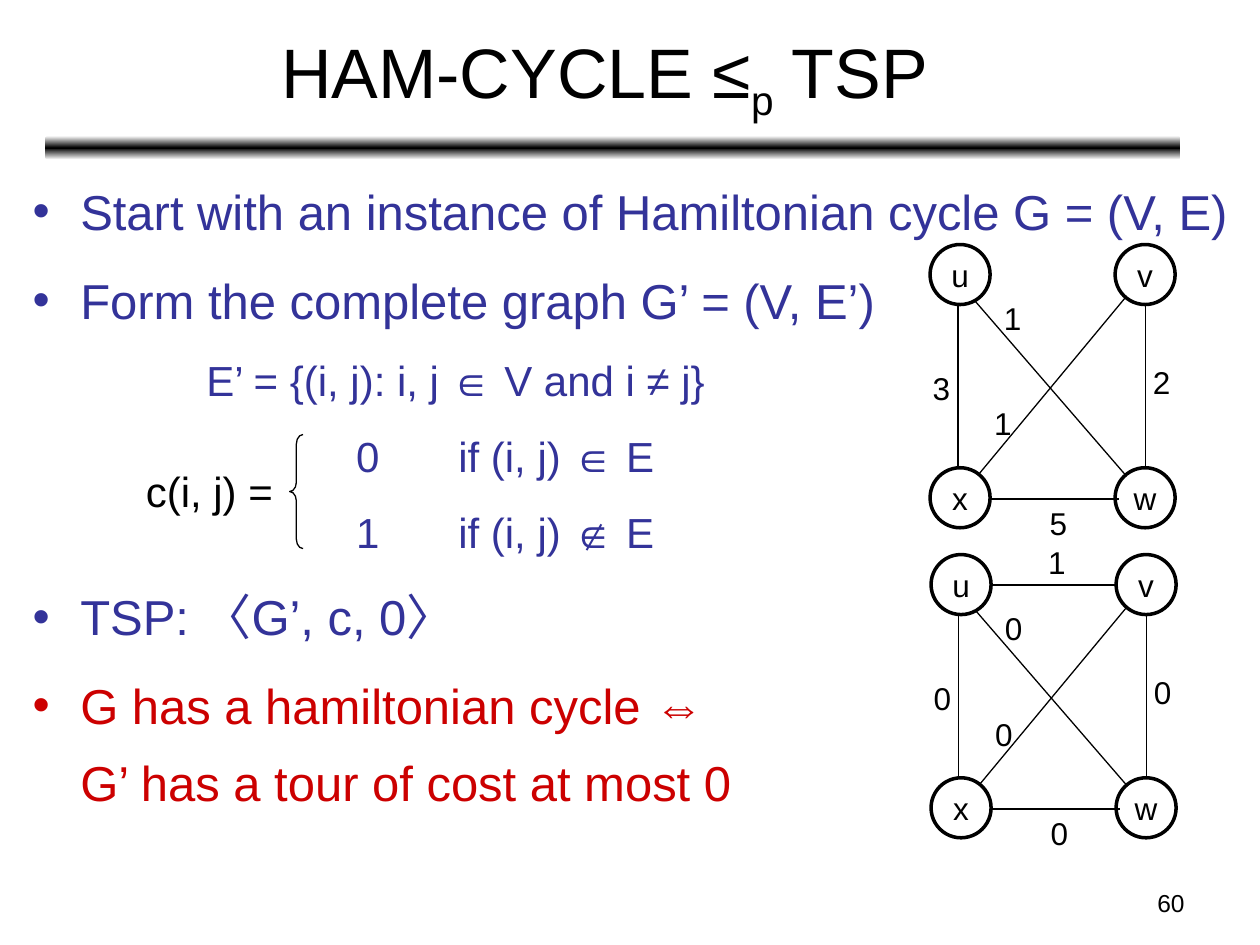
from copy import deepcopy
from dataclasses import dataclass

from lxml.etree import SubElement
from pptx import Presentation
from pptx.dml.color import RGBColor
from pptx.enum.shapes import MSO_CONNECTOR, MSO_SHAPE
from pptx.enum.text import MSO_ANCHOR, PP_ALIGN
from pptx.oxml.ns import qn
from pptx.util import Cm, Pt


@dataclass(frozen=True)
class Theme:
    font: str = "Arial"
    black: str = "000000"
    white: str = "FFFFFF"
    blue: str = "333399"
    red: str = "CC0000"
    title: int = 40
    bullet: int = 28
    formula: int = 24
    graph: int = 18
    number: int = 14
    edge: float = 0.75
    ring: float = 2


THEME = Theme()

TITLE = (("HAM-CYCLE ≤", False), ("p", True), (" TSP ", False))

# kind, text, colour
BODY = [
    ("bullet", "Start with an instance of Hamiltonian cycle G = (V, E)", THEME.blue),
    ("bullet", "Form the complete graph G’ = (V, E’)", THEME.blue),
    ("formula", "E’ = {(i, j): i, j ∈ V and i ≠ j}", THEME.blue),
    ("case", "0\tif (i, j) ∈ E", THEME.blue),
    ("case", "1\tif (i, j) ∉ E", THEME.blue),
    ("bullet", "TSP: 〈G’, c, 0〉", THEME.blue),
    ("bullet", "G has a hamiltonian cycle ⇔\vG’ has a tour of cost at most 0", THEME.red),
]
# left margin, first-line indent (cm); size and space before (pt)
# In a case the cost hangs and its tab leads to the left margin.
BODY_STYLES = {
    "bullet": (0.96, -0.96, THEME.bullet, 7),
    "formula": (3.5, 0, THEME.formula, 6),
    "case": (8.58, -2.06, THEME.formula, 6),
}

# All graph places are in cm from the graph's top left corner.
NODE_SIZE = 1.21
NODES = {"u": (0, 0), "v": (3.73, 0), "x": (0, 4.5), "w": (3.73, 4.5)}
# edge: (line from and to), (label corner)
EDGES = {
    "uv": ((1.19, 0.61, 3.76, 0.61), (2.11, -0.36)),
    "xw": ((1.19, 5.13, 3.81, 5.13), (2.16, 5.1)),
    "ux": ((0.56, 1.19, 0.56, 4.5), (-0.2, 2.39)),
    "vw": ((4.34, 1.19, 4.34, 4.5), (4.24, 2.26)),
    "uw": ((0.89, 1.12, 3.96, 4.67), (1.24, 0.97)),
    "vx": ((3.96, 1.04, 0.99, 4.62), (1.04, 3.1)),
}
GRAPHS = [
    ((18.75, 4.93), {"xw": 5, "ux": 3, "vw": 2, "vx": 1, "uw": 1}),
    ((18.77, 11.18), {"uv": 1, "xw": 0, "ux": 0, "vw": 0, "vx": 0, "uw": 0}),
]


def lengths(*values):
    return [Cm(value) for value in values]


def style(para, size, color=THEME.black, align=None):
    para.font.name = THEME.font
    para.font.size = Pt(size)
    para.font.color.rgb = RGBColor.from_string(color)
    if align is not None:
        para.alignment = align


def set_line(shape, width):
    shape.line.color.rgb = RGBColor.from_string(THEME.black)
    shape.line.width = Pt(width)


def add_label(page, place, text, size, align=None, wrap=False):
    box = page.shapes.add_textbox(*lengths(*place))
    box.text_frame.word_wrap = wrap
    para = box.text_frame.paragraphs[0]
    para.text = text
    style(para, size, align=align)


def add_title(page):
    title = page.shapes.title
    title.left, title.top, title.width, title.height = lengths(0.94, 0.28, 22.86, 2.51)
    title.text_frame.vertical_anchor = MSO_ANCHOR.MIDDLE
    para = title.text_frame.paragraphs[0]
    for text, subscript in TITLE:
        span = para.add_run()
        span.text = text
        if subscript:
            span.font._element.set("baseline", "-25000")
    style(para, THEME.title, align=PP_ALIGN.CENTER)


def add_rule(page):
    rule = page.shapes.add_shape(MSO_SHAPE.ROUNDED_RECTANGLE, *lengths(0.91, 2.74, 22.89, 0.48))
    rule.shadow.inherit = False
    rule.line.fill.background()
    rule.fill.gradient()
    rule.fill.gradient_angle = 90
    stop_list = rule._element.spPr.find(".//" + qn("a:gsLst"))
    stop_list.append(deepcopy(stop_list[0]))
    colors = (THEME.white, THEME.black, THEME.white)
    for index, (stop, color) in enumerate(zip(rule.fill.gradient_stops, colors)):
        stop.position = index / 2
        stop.color.rgb = RGBColor.from_string(color)


def format_body(para, kind, color):
    margin, indent, size, before = BODY_STYLES[kind]
    para.line_spacing = 1.3
    para.space_before = Pt(before)
    props = para._p.get_or_add_pPr()
    props.set("marL", str(Cm(margin)))
    props.set("indent", str(Cm(indent)))
    if kind == "bullet":
        bullet_color = SubElement(props, qn("a:buClr"))
        SubElement(bullet_color, qn("a:srgbClr"), val=color)
        SubElement(props, qn("a:buFont"), typeface=THEME.font)
        SubElement(props, qn("a:buChar"), char="•")
    style(para, size, color)


def add_body(page):
    box = page.shapes.add_textbox(*lengths(0.41, 3.18, 24.99, 15.04))
    frame = box.text_frame
    frame.word_wrap = True
    for index, (kind, text, color) in enumerate(BODY):
        para = frame.add_paragraph() if index else frame.paragraphs[0]
        para.text = text
        format_body(para, kind, color)


def add_brace(page):
    brace = page.shapes.add_shape(MSO_SHAPE.LEFT_BRACE, *lengths(5.84, 8.76, 0.27, 2.3))
    brace.adjustments[0] = 0.7
    brace.shadow.inherit = False
    brace.fill.background()
    set_line(brace, THEME.edge)


def add_graph(page, origin, costs):
    left, top = origin
    for name, (x, y) in NODES.items():
        node = page.shapes.add_shape(
            MSO_SHAPE.OVAL, *lengths(left + x, top + y, NODE_SIZE, NODE_SIZE))
        node.shadow.inherit = False
        node.fill.solid()
        node.fill.fore_color.rgb = RGBColor.from_string(THEME.white)
        set_line(node, THEME.ring)
        node.text_frame.word_wrap = False
        node.text_frame.vertical_anchor = MSO_ANCHOR.MIDDLE
        para = node.text_frame.paragraphs[0]
        para.text = name
        style(para, THEME.graph, align=PP_ALIGN.CENTER)
    for name, cost in costs.items():
        (x1, y1, x2, y2), (x, y) = EDGES[name]
        edge = page.shapes.add_connector(
            MSO_CONNECTOR.STRAIGHT, *lengths(left + x1, top + y1, left + x2, top + y2))
        set_line(edge, THEME.edge)
        SubElement(edge._element.spPr, qn("a:effectLst"))
        add_label(page, (left + x, top + y, 0.86, 1.02), str(cost), THEME.graph)


def main():
    deck = Presentation()
    deck.slide_width, deck.slide_height = lengths(25.4, 19.05)
    page = deck.slides.add_slide(deck.slide_layouts[5])
    add_rule(page)
    add_label(page, (18.21, 17.78, 5.92, 0.89), "60", THEME.number, PP_ALIGN.RIGHT, wrap=True)
    add_title(page)
    add_body(page)
    for origin, costs in GRAPHS:
        add_graph(page, origin, costs)
    add_brace(page)
    add_label(page, (2.69, 9.25, 3.07, 1.27), "c(i, j) =", THEME.formula)
    deck.save("out.pptx")


if __name__ == "__main__":
    main()
